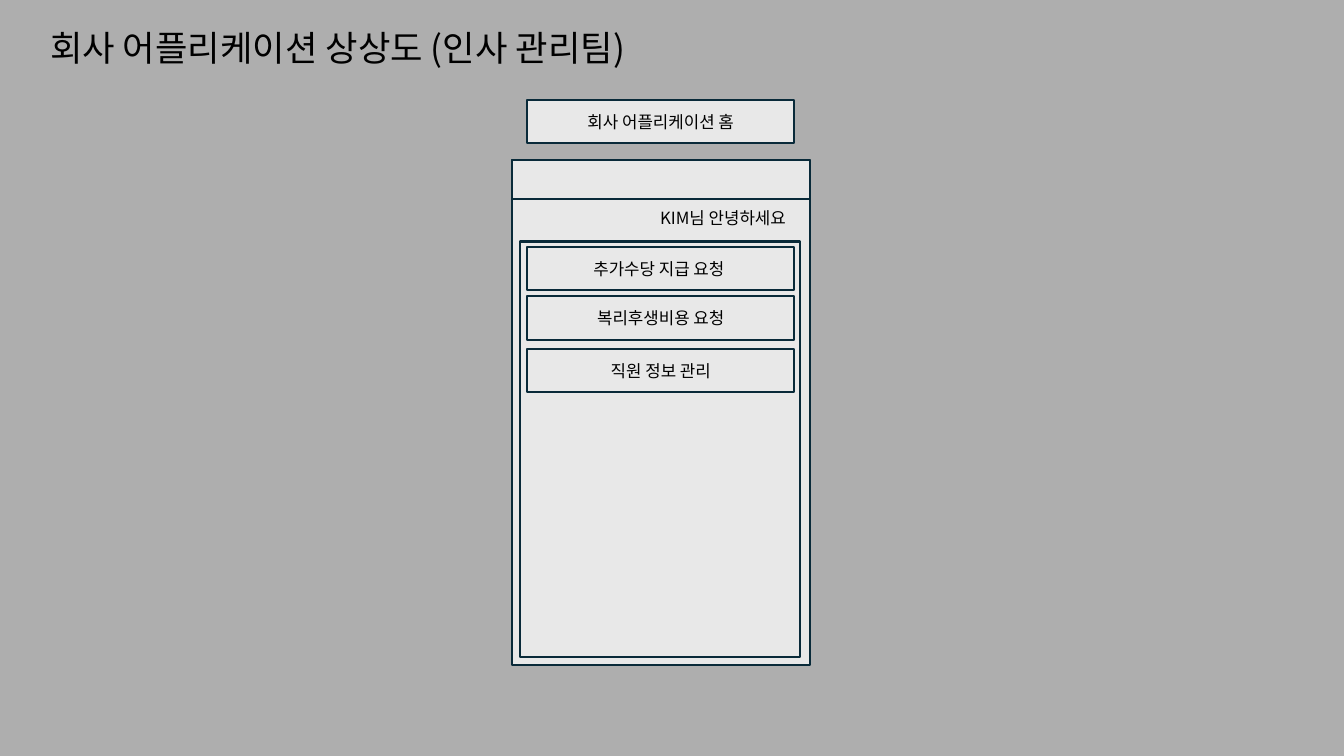
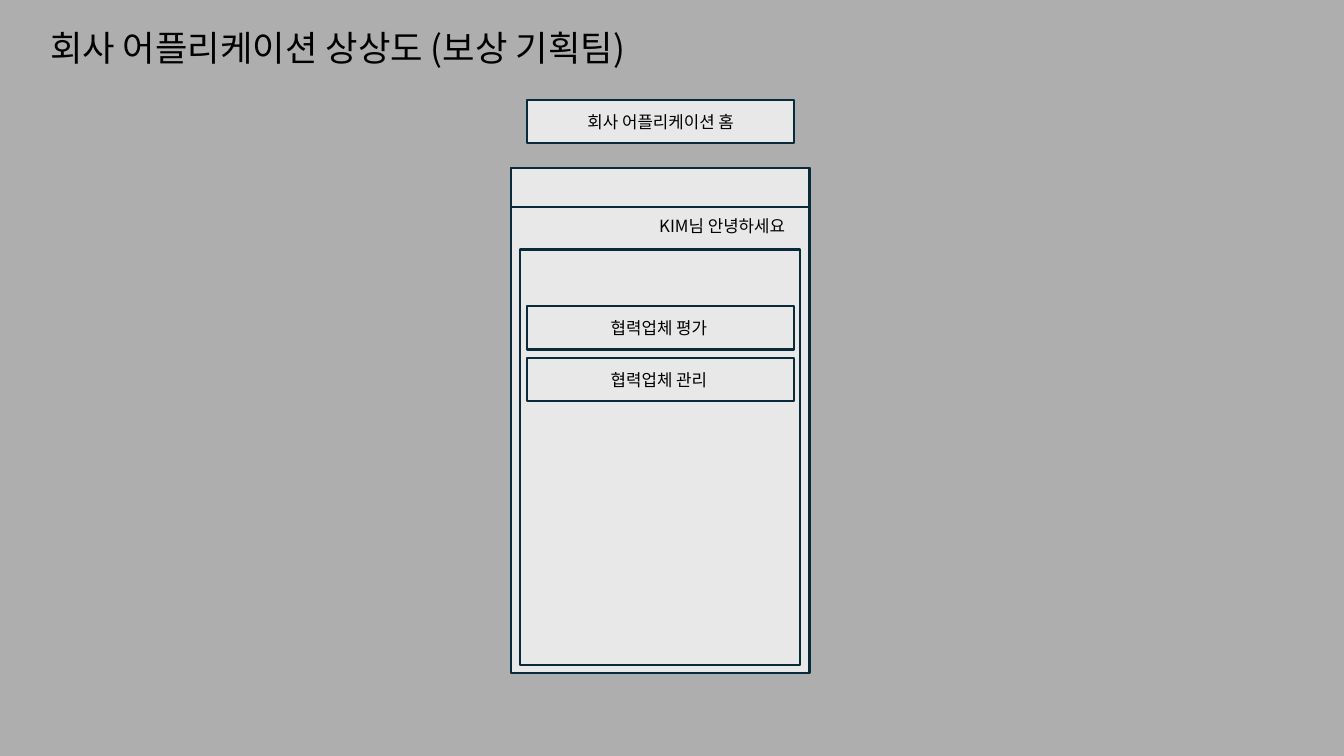
from lxml import etree
from pptx import Presentation
from pptx.dml.color import RGBColor
from pptx.enum.shapes import MSO_SHAPE
from pptx.enum.text import MSO_ANCHOR, MSO_AUTO_SIZE, PP_ALIGN
from pptx.oxml.ns import qn
from pptx.util import Pt

# Shared style
COLORS = {"background": "AEAEAE", "panel": "E8E8E8", "outline": "092A39", "text": "000000"}
FONT = "Noto Sans CJK KR"
BUTTON_LEFT, BUTTON_WIDTH, BUTTON_HEIGHT = 376.6, 190.8, 31
PANEL_WIDTH = 213.1

# One entry per team: title, panel position, and the buttons with their tops
SCREENS = [
    {
        "title": "회사 어플리케이션 상상도 (인사 관리팀)",
        "left": 365.8,
        "top": 114.5,
        "buttons": [("추가수당 지급 요청 ", 176.4), ("복리후생비용 요청", 211.7), ("직원 정보 관리", 249.1)],
    },
    {
        "title": "회사 어플리케이션 상상도 (보상 기획팀)",
        "left": 365.2,
        "top": 120.2,
        "buttons": [("협력업체 평가 ", 218.7), ("협력업체 관리 ", 255.6)],
    },
]


def write_text(shape, text, size=12, align=PP_ALIGN.CENTER, anchor=MSO_ANCHOR.MIDDLE,
               line_spacing=None, auto_size=MSO_AUTO_SIZE.NONE):
    frame = shape.text_frame
    frame.word_wrap = True
    frame.auto_size = auto_size
    frame.vertical_anchor = anchor
    paragraph = frame.paragraphs[0]
    paragraph.alignment = align
    paragraph.line_spacing = line_spacing
    run = paragraph.add_run()
    run.text = text
    run.font.size = Pt(size)
    run.font.name = FONT
    run.font.color.rgb = RGBColor.from_string(COLORS["text"])
    # Hangul takes the East Asian font
    etree.SubElement(run.font._element, qn("a:ea"), typeface=FONT)


def add_box(shapes, left, top, width, height):
    shape = shapes.add_shape(MSO_SHAPE.RECTANGLE, Pt(left), Pt(top), Pt(width), Pt(height))
    shape.shadow.inherit = False
    shape.fill.solid()
    shape.fill.fore_color.rgb = RGBColor.from_string(COLORS["panel"])
    shape.line.color.rgb = RGBColor.from_string(COLORS["outline"])
    shape.line.width = Pt(1.5)
    return shape


presentation = Presentation()
presentation.slide_width, presentation.slide_height = Pt(960), Pt(540)
background = presentation.slide_master.background.fill
background.solid()
background.fore_color.rgb = RGBColor.from_string(COLORS["background"])
title_only = presentation.slide_layouts[5]

for screen in SCREENS:
    slide = presentation.slides.add_slide(title_only)
    left, top = screen["left"], screen["top"]

    # Title
    title = slide.shapes.title
    title.left, title.top, title.width, title.height = Pt(10), Pt(9.4), Pt(462.2), Pt(43.9)
    write_text(title, screen["title"], size=25.2, anchor=MSO_ANCHOR.BOTTOM, line_spacing=0.9)

    # Phone screen with its header bar
    phone = slide.shapes.add_group_shape()
    add_box(phone.shapes, left, top, PANEL_WIDTH, 360.7)
    add_box(phone.shapes, left, top, PANEL_WIDTH, 27.4)

    # Menu area and greeting
    add_box(slide.shapes, 371.5, top + 58, 200.2, 296.6)
    greeting = slide.shapes.add_textbox(Pt(left + 98.6), Pt(top + 30.2), Pt(115.9), Pt(21.8))
    write_text(greeting, "KIM님 안녕하세요", align=PP_ALIGN.LEFT, anchor=MSO_ANCHOR.TOP,
               auto_size=MSO_AUTO_SIZE.SHAPE_TO_FIT_TEXT)

    # Home button above the phone, then the menu buttons
    for label, button_top in [("회사 어플리케이션 홈", 71.3)] + screen["buttons"]:
        button = add_box(slide.shapes, BUTTON_LEFT, button_top, BUTTON_WIDTH, BUTTON_HEIGHT)
        write_text(button, label)

presentation.save("out.pptx")
